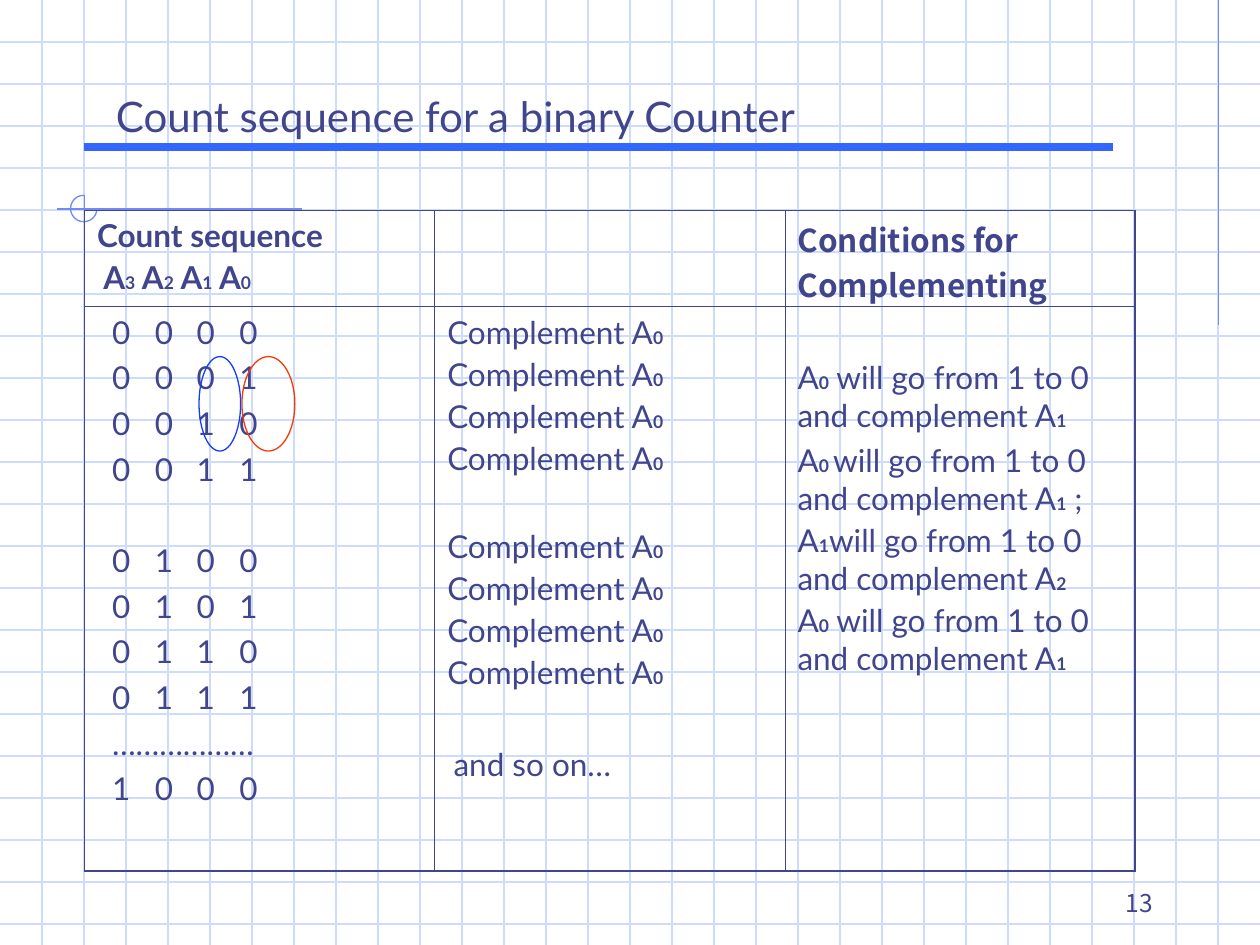
import pptx
import pptx.util
import pptx.dml.color
import pptx.enum.shapes
import pptx.enum.text
import pptx.oxml
import pptx.oxml.ns
from pptx.util import Inches

COLORS = {"ink": "40458C", "grid": "CFDBFD", "guide": "6F89F7", "rule": "3366FF",
          "red": "F63906", "blue": "143EF2"}
LATO, NOTO = "Lato", "Noto Sans CJK KR"

TITLE = "Count sequence for a binary Counter"
PAGE_NUMBER = "13"
COUNTS = ["0000", "0001", "0010", "0011", "0100", "0101", "0110", "0111", "………………", "1000"]
COMPLEMENT = "Complement A|0|"

# Text between bars is a subscript; each paragraph is text, space before, indent.
count_heading = [("Count sequence", 0, 0), ("A|3| A|2| A|1| A|0|", 2.5, 0.05)]
condition_heading = [("Conditions for Complementing", 0, 0)]
count_rows = [("\t".join(count) if count.isdigit() else count,
               {0: 0, 4: 30.6}.get(i, 4.5), 0) for i, count in enumerate(COUNTS)]
complement_rows = [(COMPLEMENT, {0: 0, 4: 28.6}.get(i, 2.5), 0) for i in range(8)]
complement_rows.append(("and so on…", 30.6, 0.05))
condition_rows = [
    ("A|0| will go from 1 to 0 and complement A|1|", 0, 0),
    ("A|0 |will go from 1 to 0 and complement A|1| ;", 4.5, 0),
    ("A|1|will go from 1 to 0 and complement A|2|", 2.5, 0),
    ("A|0| will go from 1 to 0 and complement A|1|", 2.5, 0),
]
CELLS = [
    [dict(text=count_heading, bold=True), None,
     dict(text=condition_heading, bold=True, font=NOTO, top=0.04, bottom=0)],
    [dict(text=count_rows, left=0.22, tabs=(0.34, 0.67, 1.01)),
     dict(text=complement_rows), dict(text=condition_rows, top=0.41)],
]
ROW_HEIGHTS = (0.76, 4.48)
COLUMN_WIDTH = 2.78
OVALS = [(1.92, 0.42, "red"), (1.58, 0.33, "blue")]


def rgb(name):
    return pptx.dml.color.RGBColor.from_string(COLORS[name])


def write(frame, text, size=18, font=LATO, bold=False, align="LEFT", tabs=(),
          left=0.1, top=0.05, bottom=0.05, owner=None):
    box = owner or frame
    box.margin_left, box.margin_right = Inches(left), Inches(0.1)
    box.margin_top, box.margin_bottom = Inches(top), Inches(bottom)
    for i, (line, before, indent) in enumerate(text):
        paragraph = frame.add_paragraph() if i else frame.paragraphs[0]
        paragraph.alignment = getattr(pptx.enum.text.PP_ALIGN, align)
        paragraph.space_before = pptx.util.Pt(before)
        properties = paragraph._p.get_or_add_pPr()
        if indent:
            properties.set("marL", str(Inches(indent)))
        if tabs:
            stops = pptx.oxml.parse_xml(
                f'<a:tabLst {pptx.oxml.ns.nsdecls("a")}>'
                + "".join(f'<a:tab pos="{Inches(tab)}" algn="l"/>' for tab in tabs)
                + "</a:tabLst>")
            properties.append(stops)
        for part, words in enumerate(line.split("|")):
            if words:
                subscript = part % 2 == 1
                run = paragraph.add_run()
                run.text = words
                run.font.size = pptx.util.Pt(10 if subscript else size)
                run.font.bold = bold or subscript
                run.font.name = font
                run.font.color.rgb = rgb("ink")


def draw_line(shapes, x1, y1, x2, y2, color, width=0.75):
    line = shapes.add_connector(pptx.enum.shapes.MSO_CONNECTOR.STRAIGHT,
                                Inches(x1), Inches(y1), Inches(x2), Inches(y2))
    line.line.color.rgb = rgb(color)
    line.line.width = pptx.util.Pt(width)
    line._element.spPr.append(
        pptx.oxml.parse_xml(f'<a:effectLst {pptx.oxml.ns.nsdecls("a")}/>'))


def draw_outline(shapes, kind, x, y, width, height, color):
    outline = shapes.add_shape(getattr(pptx.enum.shapes.MSO_SHAPE, kind),
                               Inches(x), Inches(y), Inches(width), Inches(height))
    outline.shadow.inherit = False
    outline.fill.background()
    outline.line.color.rgb = rgb(color)
    outline.line.width = pptx.util.Pt(0.75)
    return outline


def draw_borders(cell, row, column):
    outer = {"lnL": column == 0, "lnR": column == 2, "lnT": row == 0, "lnB": row == 1}
    properties = cell._tc.get_or_add_tcPr()
    for i, (side, thick) in enumerate(outer.items()):
        properties.insert(i, pptx.oxml.parse_xml(
            f'<a:{side} {pptx.oxml.ns.nsdecls("a")} w="{pptx.util.Pt(1.08 if thick else 0.45)}">'
            f'<a:solidFill><a:srgbClr val="{COLORS["ink"]}"/></a:solidFill></a:{side}>'))


def draw_background(shapes):
    for i in range(1, 23):
        draw_line(shapes, 0, i / 3, 10, i / 3, "grid")
    for i in range(1, 30):
        draw_line(shapes, i / 3, 0, i / 3, 7.5, "grid")
    draw_line(shapes, 9.67, 0, 9.67, 2.58, "guide")
    draw_line(shapes, 2.4, 1.66, 0.45, 1.66, "guide")
    draw_line(shapes, 0.67, 1.55, 0.67, 4.09, "guide")
    corner = draw_outline(shapes, "ARC", 0.56, 1.55, 0.21, 0.21, "guide")
    corner.adjustments[0], corner.adjustments[1] = 0, 162
    draw_line(shapes, 0.67, 1.17, 8.83, 1.17, "rule", 4.5)


def main():
    presentation = pptx.Presentation()
    presentation.slide_width, presentation.slide_height = Inches(10), Inches(7.5)
    slide = presentation.slides.add_slide(presentation.slide_layouts[5])
    shapes = slide.shapes
    draw_background(shapes)

    number = shapes.add_textbox(Inches(7.17), Inches(6.83), Inches(2.08), Inches(0.5)).text_frame
    number.word_wrap = True
    number.vertical_anchor = pptx.enum.text.MSO_ANCHOR.BOTTOM
    write(number, [(PAGE_NUMBER, 0, 0)], size=14, font=NOTO, align="RIGHT")

    title = shapes.title
    title.left, title.top, title.width, title.height = map(Inches, (0.82, 0.67, 5.98, 0.5))
    title.text_frame.word_wrap = False
    title.text_frame.auto_size = pptx.enum.text.MSO_AUTO_SIZE.NONE
    title.text_frame.vertical_anchor = pptx.enum.text.MSO_ANCHOR.TOP
    write(title.text_frame, [(TITLE, 0, 0)], size=24)
    shapes._spTree.append(title._element)

    sequence = shapes.add_table(2, 3, Inches(0.67), Inches(1.67), Inches(3 * COLUMN_WIDTH),
                                Inches(sum(ROW_HEIGHTS))).table
    sequence.first_row = sequence.horz_banding = False
    for column in sequence.columns:
        column.width = Inches(COLUMN_WIDTH)
    for r, height in enumerate(ROW_HEIGHTS):
        sequence.rows[r].height = Inches(height)
        for c, content in enumerate(CELLS[r]):
            cell = sequence.cell(r, c)
            cell.fill.background()
            draw_borders(cell, r, c)
            if content:
                write(cell.text_frame, owner=cell, **content)

    for x, width, color in OVALS:
        draw_outline(shapes, "OVAL", x, 2.83, width, 0.75, color)
    presentation.save("out.pptx")


if __name__ == "__main__":
    main()
